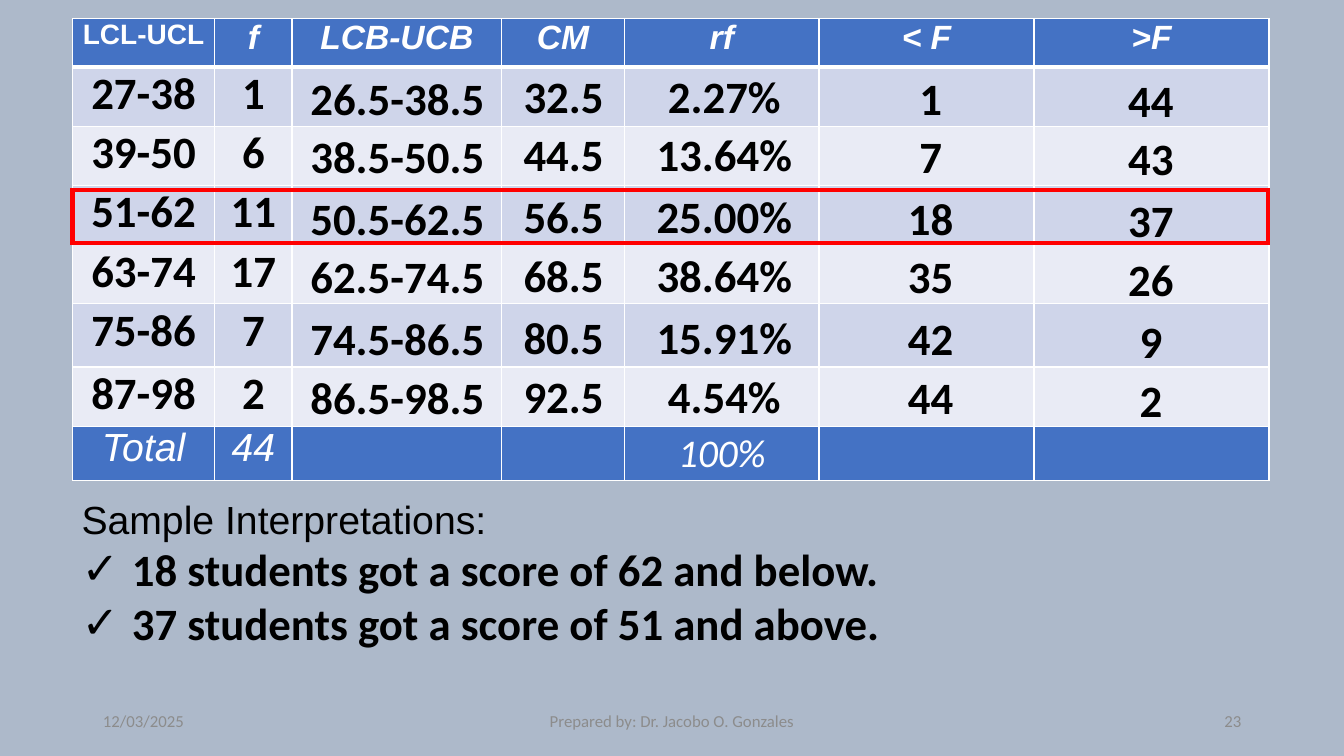
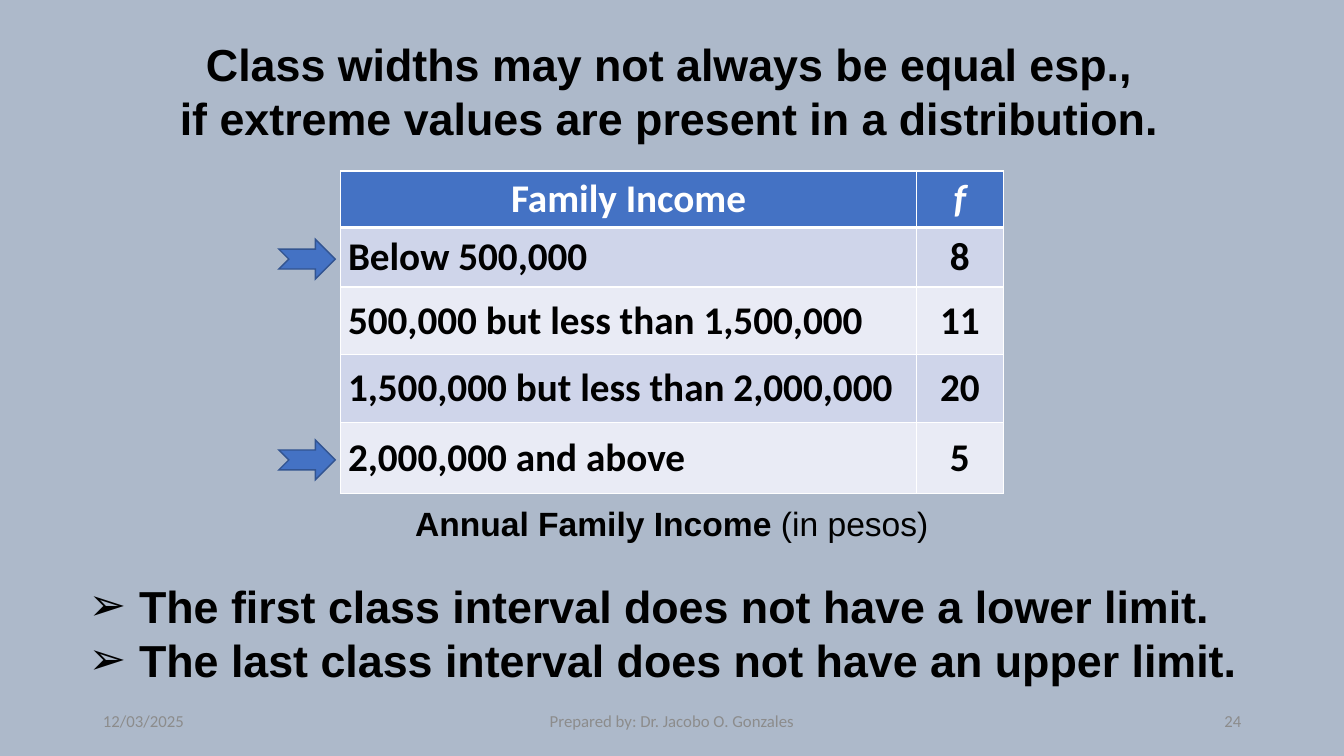
from copy import deepcopy
from dataclasses import dataclass

from lxml.etree import SubElement
from pptx import Presentation
from pptx.dml.color import RGBColor
from pptx.enum.shapes import MSO_SHAPE
from pptx.enum.text import MSO_ANCHOR, MSO_AUTO_SIZE, PP_ALIGN
from pptx.oxml import parse_xml
from pptx.oxml.ns import nsdecls, qn
from pptx.util import Cm, Pt

LEFT, CENTER, RIGHT = PP_ALIGN.LEFT, PP_ALIGN.CENTER, PP_ALIGN.RIGHT
TOP, MIDDLE = MSO_ANCHOR.TOP, MSO_ANCHOR.MIDDLE


def text_format(name, size, color, bold=False, italic=False):
    return dict(name=name, size=Pt(size), color=color, bold=bold, italic=italic)


@dataclass(frozen=True)
class Theme:
    background: str = "ADB9CA"
    accent: str = "4472C4"
    accent_edge: str = "325491"
    bands: tuple = ("CFD5EA", "E9EBF5")
    grid: str = "FFFFFF"
    ink: str = "000000"
    muted: str = "8C8C8C"
    highlight: str = "FF0000"
    heading: str = "Arial"
    reading: str = "Calibri"
    large: int = 32
    medium: int = 28
    small: int = 24
    compact: int = 20
    footer: int = 12


THEME = Theme()
TITLE = text_format(THEME.heading, THEME.large, THEME.ink, bold=True)
LEAD = text_format(THEME.heading, THEME.medium, THEME.ink)
STRONG = text_format(THEME.reading, THEME.large, THEME.ink, bold=True)
CAPTION = text_format(THEME.heading, THEME.small, THEME.ink)
FOOTER = text_format(THEME.reading, THEME.footer, THEME.muted)
CLASS_HEADER = text_format(THEME.heading, THEME.compact, THEME.grid, bold=True)
HEADER = text_format(THEME.heading, THEME.small, THEME.grid, True, True)
TOTAL = text_format(THEME.heading, THEME.medium, THEME.grid, italic=True)
TOTAL_PERCENT = TOTAL | {"name": THEME.reading}
INCOME = text_format(THEME.reading, THEME.medium, THEME.ink, bold=True)
INCOME_HEADER = INCOME | {"color": THEME.grid}

SCORES = [
    ["LCL-UCL", "f", "LCB-UCB", "CM", "rf", "< F", ">F"],
    ["27-38", "1"],
    ["39-50", "6"],
    ["51-62", "11"],
    ["63-74", "17"],
    ["75-86", "7"],
    ["87-98", "2"],
    ["Total", "44"],
]
# Left, width, shift down and the six entries of each computed column
COMPUTED = [
    (7.5, 5.03, 0, ["26.5-38.5", "38.5-50.5", "50.5-62.5",
                    "62.5-74.5", "74.5-86.5", "86.5-98.5"]),
    (12.86, 2.69, -0.04, ["32.5", "44.5", "56.5", "68.5", "80.5", "92.5"]),
    (15.92, 4.67, -0.04, ["2.27%", "13.64%", "25.00%",
                          "38.64%", "15.91%", "4.54%"]),
    (21.12, 4.67, 0, ["1", "7", "18", "35", "42", "44"]),
    (26.67, 4.67, 0.06, ["44", "43", "37", "26", "9", "2"]),
]
COMPUTED_TOPS = [1.65, 3.12, 4.67, 6.15, 7.71, 9.2]
INCOMES = [
    ["Family Income", "f"],
    ["Below 500,000", "8"],
    ["500,000 but less than 1,500,000", "11"],
    ["1,500,000 but less than 2,000,000", "20"],
    ["2,000,000 and above", "5"],
]


def set_all(target, values):
    for attribute, value in values.items():
        setattr(target, attribute, value)


def box(*lengths):
    return dict(zip(("left", "top", "width", "height"), map(Cm, lengths)))


def write(paragraph, text, fmt, align=LEFT):
    """Add one formatted run to the paragraph."""
    paragraph.alignment = align
    run = paragraph.add_run()
    run.text = text
    set_all(run.font, {key: fmt[key] for key in fmt if key != "color"})
    run.font.color.rgb = RGBColor.from_string(fmt["color"])


def draw_borders(cell, weights):
    properties = cell._tc.get_or_add_tcPr()
    for position, (side, weight) in enumerate(weights.items()):
        properties.insert(position, parse_xml(
            f'<a:{side} {nsdecls("a")} w="{Pt(weight)}"><a:solidFill>'
            f'<a:srgbClr val="{THEME.grid}"/></a:solidFill></a:{side}>'))


class Deck:
    """Holds the shared style and the slide being filled."""

    def __init__(self):
        self.prs = Presentation()
        self.prs.slide_width, self.prs.slide_height = Cm(33.87), Cm(19.05)
        fill = self.prs.slide_master.background.fill
        fill.solid()
        fill.fore_color.rgb = RGBColor.from_string(THEME.background)
        self.slide = None

    def new_slide(self, number):
        layout = self.prs.slide_layouts[1]
        self.slide = self.prs.slides.add_slide(layout)
        footers = {
            10: ("12/03/2025", LEFT, box(2.34, 17.65, 7.62, 1.02)),
            11: ("Prepared by: Dr. Jacobo O. Gonzales", CENTER,
                 box(11.22, 17.65, 11.43, 1.02)),
            12: (str(number), RIGHT, box(23.92, 17.65, 7.62, 1.02)),
        }
        for source in layout.placeholders:
            index = source.placeholder_format.idx
            if index in footers:
                self.slide.shapes.element.append(deepcopy(source.element))
                text, align, place = footers[index]
                self.fill_placeholder(index, [text], FOOTER, place, align, MIDDLE)

    def fill_placeholder(self, index, lines, fmt, place, align=LEFT, anchor=TOP):
        holder = next(shape for shape in self.slide.placeholders
                      if shape.placeholder_format.idx == index)
        set_all(holder, place)
        frame = holder.text_frame
        frame.clear()
        set_all(frame, dict(word_wrap=True, auto_size=MSO_AUTO_SIZE.NONE,
                            vertical_anchor=anchor))
        for position, line in enumerate(lines):
            paragraph = frame.add_paragraph() if position else frame.paragraphs[0]
            paragraph.space_before = Pt(0)
            write(paragraph, line, fmt, align)
        return frame

    def title(self, lines, fmt, place, align=LEFT):
        self.fill_placeholder(0, lines, fmt, place, align)

    def bullets(self, lines, mark, fmt, place):
        frame = self.fill_placeholder(1, lines, fmt, place)
        for paragraph in frame.paragraphs:
            properties = paragraph._p.get_or_add_pPr()
            properties.set("marL", str(Cm(1.27)))
            properties.set("indent", str(-Cm(1.27)))
            SubElement(properties, qn("a:buChar")).set("char", mark)

    def label(self, parts, place):
        """Add a centred text box made of (text, format) parts."""
        frame = self.slide.shapes.add_textbox(**place).text_frame
        frame.word_wrap = True
        for text, fmt in parts:
            write(frame.paragraphs[0], text, fmt, CENTER)

    def table(self, left, top, widths, heights, rows, style, anchor=TOP):
        """Draw a banded table; style(row, column) gives format and alignment."""
        place = box(left, top, sum(widths), sum(heights))
        table = self.slide.shapes.add_table(len(rows), len(widths), **place).table
        for column, width in zip(table.columns, widths):
            column.width = Cm(width)
        for row, height in zip(table.rows, heights):
            row.height = Cm(height)
        for r, texts in enumerate(rows):
            accent = r == 0 or texts[0] == "Total"
            color = THEME.accent if accent else THEME.bands[(r - 1) % 2]
            for c in range(len(widths)):
                cell = table.cell(r, c)
                set_all(cell, dict(margin_left=Cm(0.18), margin_right=Cm(0.18),
                                   margin_top=0, margin_bottom=0,
                                   vertical_anchor=anchor))
                cell.fill.solid()
                cell.fill.fore_color.rgb = RGBColor.from_string(color)
                draw_borders(cell, dict(lnL=1, lnR=1, lnT=3 if r == 1 else 1,
                                        lnB=3 if r == 0 else 1))
                if c < len(texts):
                    write(cell.text_frame.paragraphs[0], texts[c], *style(r, c))

    def shape(self, kind, place, line, weight, fill=None):
        shape = self.slide.shapes.add_shape(kind, **place)
        shape.shadow.inherit = False
        if fill:
            shape.fill.solid()
            shape.fill.fore_color.rgb = RGBColor.from_string(fill)
        else:
            shape.fill.background()
        shape.line.color.rgb = RGBColor.from_string(line)
        shape.line.width = Pt(weight)
        outline = shape.element.spPr.get_or_add_ln()
        SubElement(outline, qn("a:miter")).set("lim", "800000")


def score_style(row, column):
    if row == 0:
        return (HEADER if column else CLASS_HEADER), CENTER
    return (TOTAL if row == len(SCORES) - 1 else STRONG), CENTER


def income_style(row, column):
    fmt = INCOME if row else INCOME_HEADER
    if (row, column) == (0, 1):
        fmt = fmt | {"italic": True}
    return fmt, LEFT if row and not column else CENTER


def score_slide(deck):
    deck.new_slide(23)
    deck.title(["Sample Interpretations:"], LEAD, box(1.8, 12.36, 32, 1.2))
    deck.table(1.83, 0.47, [3.58, 1.95, 5.28, 3.1, 4.9, 5.42, 5.92],
               [1.22, 1.49, 1.49, 1.49, 1.49, 1.6, 1.49, 1.37],
               SCORES, score_style)
    deck.bullets(["18 students got a score of 62 and below.",
                  "37 students got a score of 51 and above."],
                 "✓", STRONG, box(1.8, 13.53, 32, 3))
    for left, width, shift, entries in COMPUTED:
        for top, entry in zip(COMPUTED_TOPS, entries):
            deck.label([(entry, STRONG)], box(left, top + shift, width, 1.62))
    deck.label([("100%", TOTAL_PERCENT)], box(15.86, 10.67, 4.67, 1.45))
    deck.shape(MSO_SHAPE.RECTANGLE, box(1.83, 4.78, 30.12, 1.35),
               THEME.highlight, 3)


def income_slide(deck):
    deck.new_slide(24)
    deck.title(["Class widths may not always be equal esp.,",
                "if extreme values are present in a distribution."],
               TITLE, box(2.7, 0.8, 28.35, 3), CENTER)
    table_top, heights = 4.31, [1.42, 1.5, 1.7, 1.72, 1.78]
    deck.table(8.59, table_top, [14.5, 2.2], heights, INCOMES, income_style, MIDDLE)
    deck.label([("Annual Family Income ", CAPTION | {"bold": True}),
                ("(in pesos)", CAPTION)], box(8.46, 12.55, 16.94, 1.27))
    deck.bullets(["The first class interval does not have a lower limit.",
                  "The last class interval does not have an upper limit."],
                 "➢", TITLE, box(1.98, 14.45, 30.45, 3))
    for open_class in (1, 4):
        middle = table_top + sum(heights[:open_class]) + heights[open_class] / 2
        deck.shape(MSO_SHAPE.NOTCHED_RIGHT_ARROW, box(7.03, middle - 0.45, 1.42, 1),
                   THEME.accent_edge, 1, THEME.accent)


def main():
    deck = Deck()
    score_slide(deck)
    income_slide(deck)
    deck.prs.save("out.pptx")


if __name__ == "__main__":
    main()
